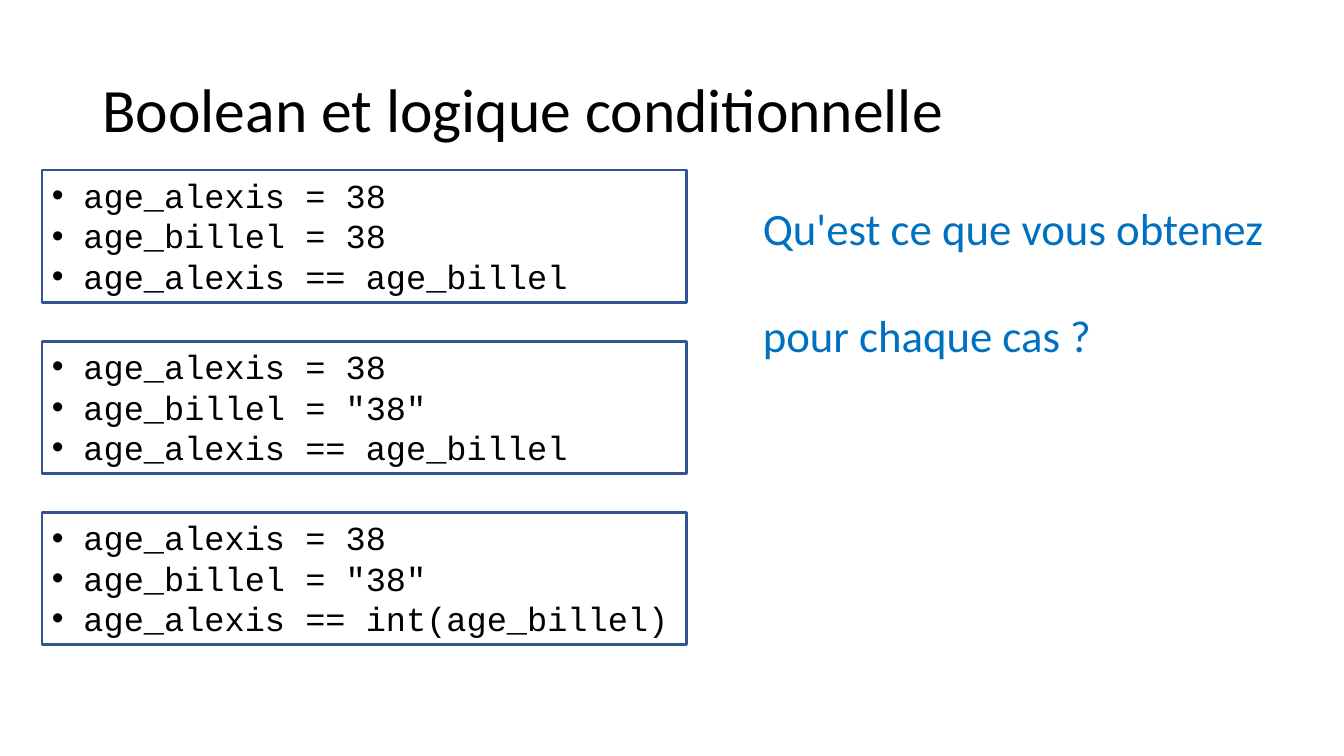
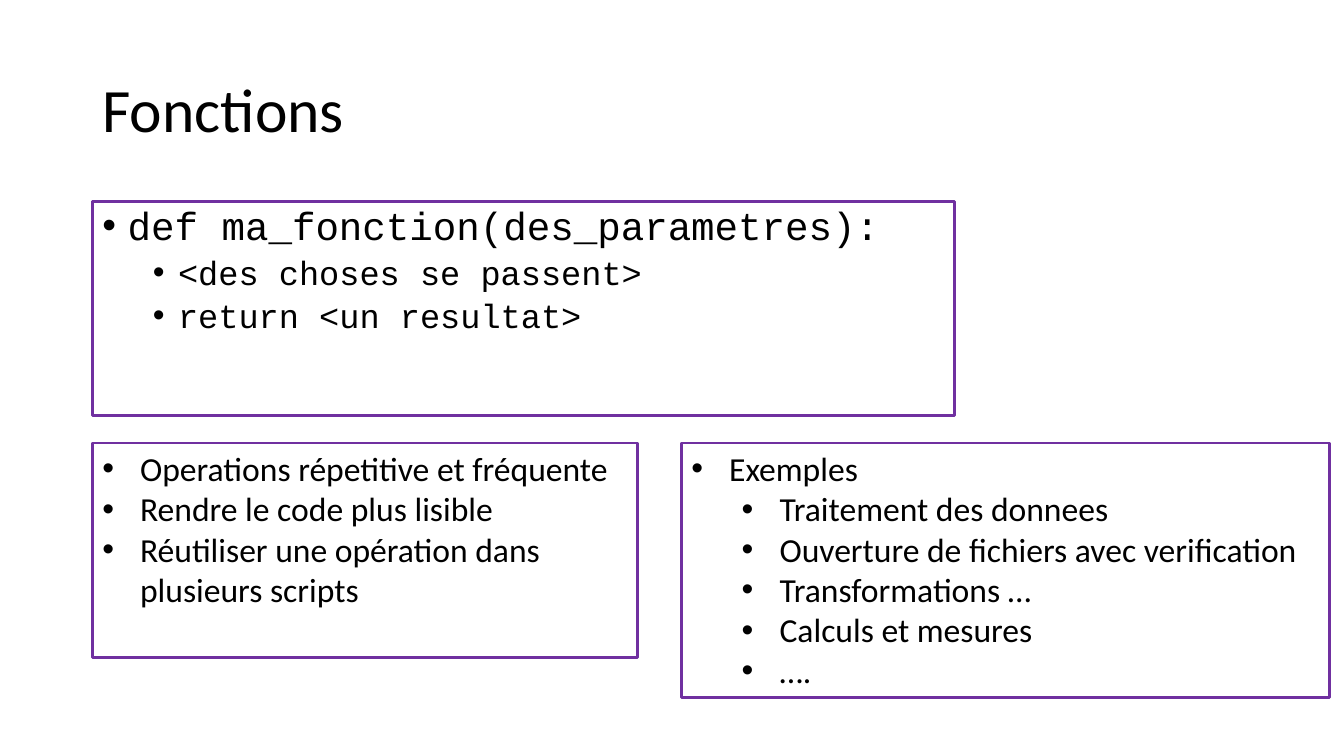
from dataclasses import dataclass

from lxml import etree
from pptx import Presentation, util as u
from pptx.dml.color import RGBColor
from pptx.enum import shapes, text
from pptx.oxml.ns import qn


@dataclass(frozen=True)
class Theme:
    black: str = "000000"
    blue: str = "325491"
    purple: str = "7030A0"
    question: str = "0070C0"
    sans: str = "Calibri"
    mono: str = "Courier New"
    title: int = 44
    large: int = 32
    code: int = 28
    body: int = 24


T = Theme()
PX = 9525
LEVEL_INDENT = 48


def write(sp, lines, font, sizes, color=T.black, hang=0, spacing=1.0, gap=0,
          anchor=text.MSO_ANCHOR.TOP):
    """Fill sp with (level, text) lines; sizes go by level, hang > 0 adds bullets."""
    tf = sp.text_frame
    frame_format = dict(word_wrap=True, auto_size=text.MSO_AUTO_SIZE.NONE,
                        vertical_anchor=anchor)
    for name, value in frame_format.items():
        setattr(tf, name, value)
    for i, (level, line) in enumerate(lines):
        p = tf.add_paragraph() if i else tf.paragraphs[0]
        paragraph_format = dict(level=level, alignment=text.PP_ALIGN.LEFT,
                                line_spacing=spacing, space_after=u.Pt(0),
                                space_before=u.Pt(gap if i else 0))
        for name, value in paragraph_format.items():
            setattr(p, name, value)
        if hang:
            pPr = p._p.get_or_add_pPr()
            pPr.set("marL", str((hang + level * LEVEL_INDENT) * PX))
            pPr.set("indent", str(-hang * PX))
            etree.SubElement(pPr, qn("a:buFont"), typeface="Arial")
            etree.SubElement(pPr, qn("a:buChar"), char="•")
        r = p.add_run()
        r.text = line
        r.font.name = font
        r.font.size = u.Pt(sizes[level])
        r.font.color.rgb = RGBColor.from_string(color)


def outline(sp, color):
    sp.fill.background()
    sp.line.color.rgb = RGBColor.from_string(color)
    sp.line.width = u.Pt(2)


prs = Presentation()
prs.slide_width, prs.slide_height = 1280 * PX, 720 * PX

# Title and Content is layout 1, Title Only is layout 5
slides = []
for layout, title in ((5, "Boolean et logique conditionnelle"), (1, "Fonctions")):
    s = prs.slides.add_slide(prs.slide_layouts[layout])
    sp = s.shapes.title
    sp.left, sp.top, sp.width, sp.height = (n * PX for n in (88, 38, 1104, 139))
    write(sp, [(0, title)], T.sans, [T.title], spacing=0.9,
          anchor=text.MSO_ANCHOR.MIDDLE)
    slides.append(s)
logic, functions = slides

# Three comparisons, stacked at an equal pitch
comparisons = [
    ("38", "age_billel"),
    ('"38"', "age_billel"),
    ('"38"', "int(age_billel)"),
]
for i, (value, operand) in enumerate(comparisons):
    sp = logic.shapes.add_shape(shapes.MSO_SHAPE.RECTANGLE, 40 * PX,
                                (162 + 163 * i) * PX, 614 * PX, 126 * PX)
    sp.shadow.inherit = False
    outline(sp, T.blue)
    code = ["age_alexis = 38", f"age_billel = {value}", f"age_alexis == {operand}"]
    write(sp, [(0, line) for line in code], T.mono, [T.body], hang=30)

sp = logic.shapes.add_textbox(717 * PX, 186 * PX, 504 * PX, 170 * PX)
write(sp, [(0, "Qu'est ce que vous obtenez"), (0, "pour chaque cas ?")],
      T.sans, [T.large], T.question, gap=38)

# Function template and the two notes below it
sp = functions.placeholders[1]
sp.left, sp.top, sp.width, sp.height = (n * PX for n in (88, 192, 821, 204))
outline(sp, T.purple)
write(sp, [(0, "def ma_fonction(des_parametres):"),
           (1, "<des choses se passent>"),
           (1, "return <un resultat>")],
      T.mono, [T.code, T.body], hang=24, spacing=0.9, gap=5)

notes = [
    (88, 519, 204, [(0, "Operations répetitive et fréquente"),
                    (0, "Rendre le code plus lisible"),
                    (0, "Réutiliser une opération dans plusieurs scripts")]),
    (649, 617, 242, [(0, "Exemples"),
                     (1, "Traitement des donnees"),
                     (1, "Ouverture de fichiers avec verification"),
                     (1, "Transformations …"),
                     (1, "Calculs et mesures"),
                     (1, "….")]),
]
for left, width, height, lines in notes:
    sp = functions.shapes.add_shape(shapes.MSO_SHAPE.RECTANGLE, left * PX, 422 * PX,
                                    width * PX, height * PX)
    sp.shadow.inherit = False
    outline(sp, T.purple)
    write(sp, lines, T.sans, [T.body, T.body], hang=36)

prs.save("out.pptx")
